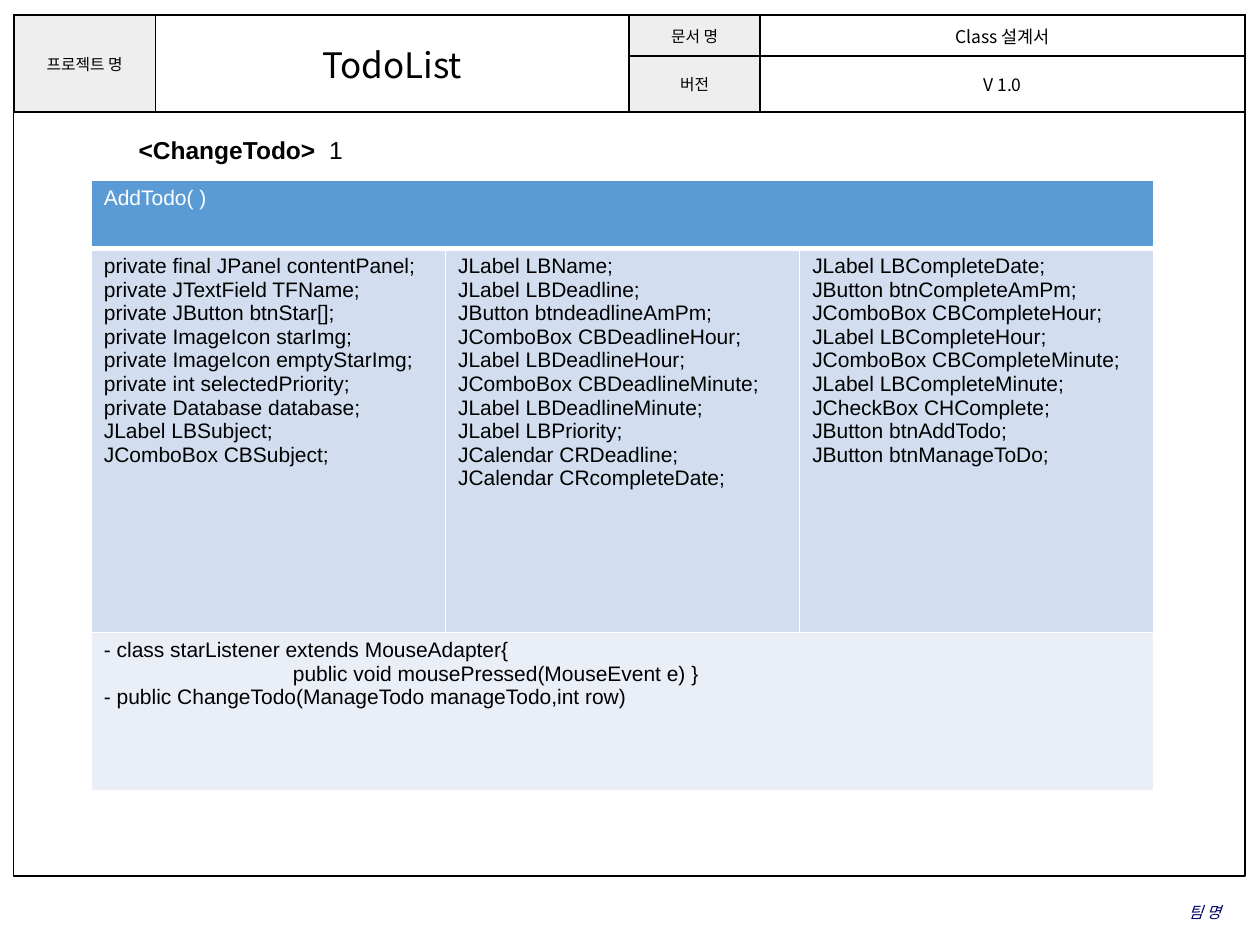
from lxml import etree
from pptx import Presentation
from pptx import util as u
from pptx.dml.color import RGBColor
from pptx.enum import shapes, text
from pptx.oxml.ns import qn

Cm, Pt = u.Cm, u.Pt
ALIGN, ANCHOR = text.PP_ALIGN, text.MSO_ANCHOR
KOREAN = "Noto Sans CJK KR"
COLORS = {
    "black": "000000", "white": "FFFFFF", "label": "EEEEEE", "team": "000066",
    "heading": "5B9BD5", "fields": "D2DEEF", "methods": "EAEFF7",
}

# Content: (row, column, text, size, fill) for the document header
HEADER = [
    (0, 0, "프로젝트 명", 9, "label"),
    (0, 1, "TodoList", 20, None),
    (0, 2, "문서 명", 9, "label"),
    (0, 3, "Class 설계서", 10, None),
    (1, 2, "버전", 9, "label"),
    (1, 3, "V 1.0", 10, None),
]
CONSTRUCTOR = "AddTodo( )"
FIELDS = [
    ["private final JPanel contentPanel;", "private JTextField TFName;",
     "private JButton btnStar[];", "private ImageIcon starImg;",
     "private ImageIcon emptyStarImg;", "private int selectedPriority;",
     "private Database database;", "JLabel LBSubject;", "JComboBox CBSubject;"],
    ["JLabel LBName;", "JLabel LBDeadline;", "JButton btndeadlineAmPm;",
     "JComboBox CBDeadlineHour;", "JLabel LBDeadlineHour;",
     "JComboBox CBDeadlineMinute;", "JLabel LBDeadlineMinute;",
     "JLabel LBPriority;", "JCalendar CRDeadline;", "JCalendar CRcompleteDate;"],
    ["JLabel LBCompleteDate;", "JButton btnCompleteAmPm;",
     "JComboBox CBCompleteHour;", "JLabel LBCompleteHour;",
     "JComboBox CBCompleteMinute;", "JLabel LBCompleteMinute;",
     "JCheckBox CHComplete;", "JButton btnAddTodo;", "JButton btnManageToDo;"],
]
METHODS = [
    "- class starListener extends MouseAdapter{",
    "public void mousePressed(MouseEvent e) }",
    "- public ChangeTodo(ManageTodo manageTodo,int row)",
]


def rgb(name):
    return RGBColor.from_string(COLORS[name])


def write(frame, lines, size=12, font="Arial", color="black",
          align=ALIGN.LEFT, italic=False):
    """Fill a text frame; each line is a string or a list of (text, bold)."""
    for index, line in enumerate(lines):
        para = frame.paragraphs[0] if index == 0 else frame.add_paragraph()
        para.alignment = align
        for words, bold in [(line, False)] if isinstance(line, str) else line:
            span = para.add_run()
            span.text = words
            span.font.size, span.font.name = Pt(size), font
            span.font.bold, span.font.italic = bold, italic
            span.font.color.rgb = rgb(color)
            east = etree.SubElement(span.font._element, qn("a:ea"))
            east.set("typeface", KOREAN)


def set_borders(cell, color, **widths):
    """Draw the four sides of a cell, 1 pt unless a side is given."""
    properties = cell._tc.get_or_add_tcPr()
    for index, side in enumerate("LRTB"):
        line = etree.Element(qn("a:ln" + side), w=str(Pt(widths.get(side, 1))))
        solid = etree.SubElement(line, qn("a:solidFill"))
        etree.SubElement(solid, qn("a:srgbClr"), val=COLORS[color])
        properties.insert(index, line)


def add_grid(page, left, top, widths, heights, border):
    grid = page.shapes.add_table(len(heights), len(widths), Cm(left), Cm(top),
                                 Cm(sum(widths)), Cm(sum(heights))).table
    grid.first_row = grid.horz_banding = False
    for column, width in zip(grid.columns, widths):
        column.width = Cm(width)
    for row, height in zip(grid.rows, heights):
        row.height = Cm(height)
    for cell in grid.iter_cells():
        cell.fill.background()
        set_borders(cell, border)
    return grid


def paint(cell, color):
    cell.fill.solid()
    cell.fill.fore_color.rgb = rgb(color)


def add_header(page):
    grid = add_grid(page, 0.28, 0.3, [2.85, 9.55, 2.64, 9.78], [0.83, 0.94], "black")
    for column in (0, 1):
        grid.cell(0, column).merge(grid.cell(1, column))
    for row, column, words, size, fill in HEADER:
        cell = grid.cell(row, column)
        cell.vertical_anchor = ANCHOR.MIDDLE
        cell.margin_left = cell.margin_right = Cm(0.1)
        cell.margin_top = cell.margin_bottom = Cm(0.05)
        if fill:
            paint(cell, fill)
        write(cell.text_frame, [words], size, KOREAN, align=ALIGN.CENTER)


def add_class_table(page):
    grid = add_grid(page, 1.84, 3.64, [7.14] * 3, [1.37, 7.74, 3.19], "white")
    for row in (0, 2):
        grid.cell(row, 0).merge(grid.cell(row, 2))
    # Thick rule under the constructor
    for column in range(3):
        for row, side in ((0, "B"), (1, "T")):
            cell = grid.cell(row, column)
            for old in cell._tc.tcPr.xpath("a:lnL|a:lnR|a:lnT|a:lnB"):
                cell._tc.tcPr.remove(old)
            set_borders(cell, "white", **{side: 3})
    paint(grid.cell(0, 0), "heading")
    write(grid.cell(0, 0).text_frame, [CONSTRUCTOR], color="white")
    for column, lines in enumerate(FIELDS):
        paint(grid.cell(1, column), "fields")
        write(grid.cell(1, column).text_frame, lines)
    methods = grid.cell(2, 0)
    paint(methods, "methods")
    write(methods.text_frame, METHODS)
    # Inner method is indented under its class
    inner = methods.text_frame.paragraphs[1]._p.get_or_add_pPr()
    inner.set("marL", str(Cm(3.81)))
    inner.set("indent", "0")


def main():
    deck = Presentation()
    deck.slide_width, deck.slide_height = Cm(25.4), Cm(19.05)
    page = deck.slides.add_slide(deck.slide_layouts[5])

    # Page frame
    frame = page.shapes.add_shape(shapes.MSO_SHAPE.RECTANGLE, Cm(0.28), Cm(2.26),
                                  Cm(24.82), Cm(15.4))
    frame.shadow.inherit = False
    frame.fill.background()
    frame.line.color.rgb = rgb("black")
    frame.line.width = Pt(0.75)

    add_header(page)

    # Team name
    team = page.shapes.add_textbox(Cm(16.84), Cm(17.96), Cm(7.77), Cm(0.84)).text_frame
    team.word_wrap = True
    team.vertical_anchor = ANCHOR.MIDDLE
    team.margin_left = team.margin_right = team.margin_top = team.margin_bottom = 0
    write(team, ["팀 명"], 9, "Times New Roman", "team", ALIGN.RIGHT, italic=True)

    # Class name
    title = page.shapes.title
    title.left, title.top, title.width, title.height = Cm(2.54), Cm(2.59), Cm(4.83), Cm(0.86)
    title.text_frame.word_wrap = False
    title.text_frame.auto_size = text.MSO_AUTO_SIZE.NONE
    title.text_frame.vertical_anchor = ANCHOR.TOP
    write(title.text_frame, [[("<ChangeTodo> ", True), (" 1", False)]], 14)

    add_class_table(page)
    deck.save("out.pptx")


if __name__ == "__main__":
    main()
